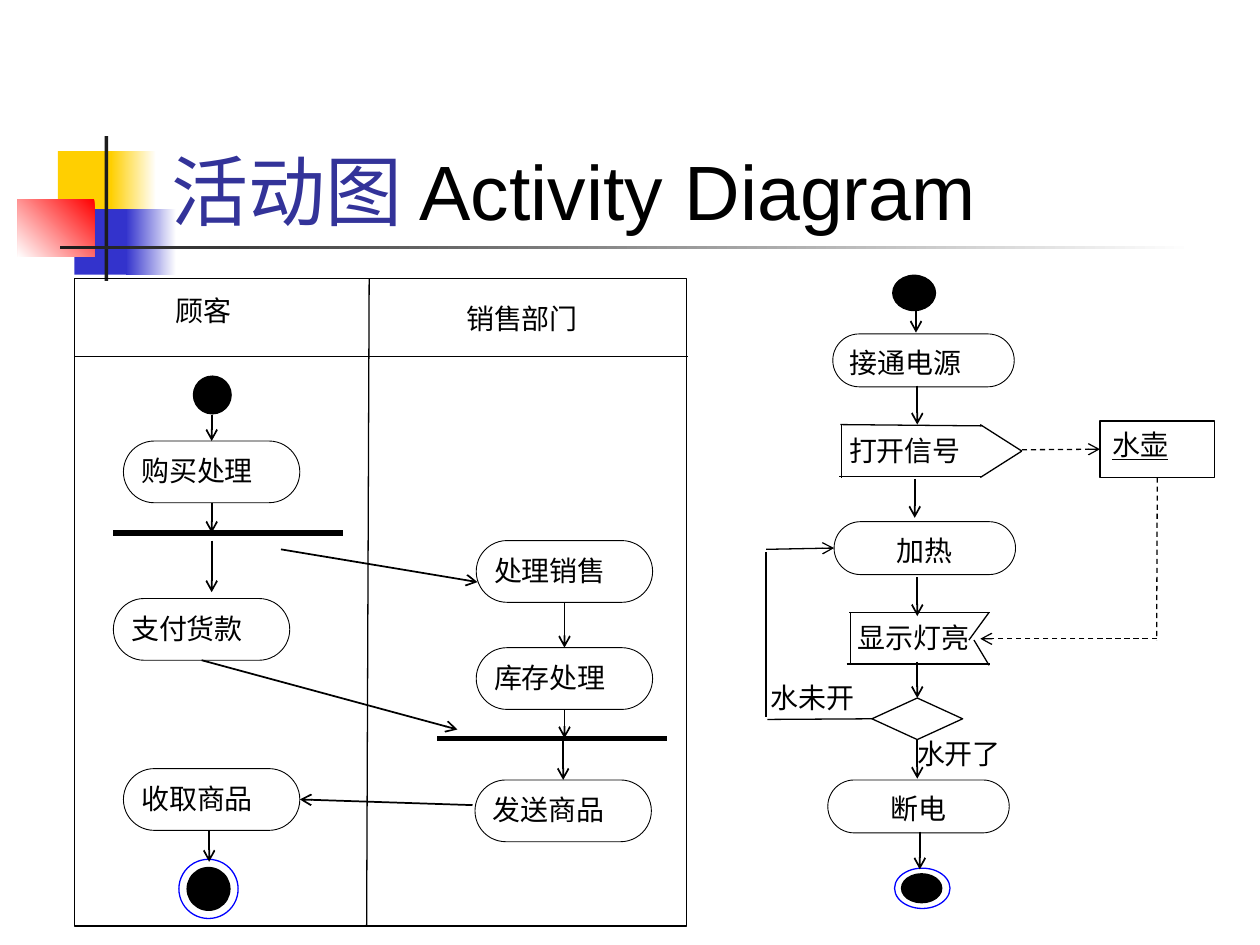
from lxml.etree import SubElement
from pptx import Presentation
from pptx.dml.color import RGBColor
from pptx.enum.dml import MSO_LINE
from pptx.enum.shapes import MSO_CONNECTOR, MSO_SHAPE
from pptx.enum.text import MSO_ANCHOR, PP_ALIGN
from pptx.oxml.ns import qn
from pptx.util import Inches, Pt

COLORS = {"black": "000000", "white": "FFFFFF", "ink": "1C1C1C", "yellow": "FFCF01",
          "blue": "3333CC", "red": "FF0000", "title": "333399", "ring": "0000FF"}
TOP, LEFT, BOTTOM, RIGHT = range(4)

DECORATION = [
    ((0.46, 1.2, 0.48, 0.52), ["yellow"], 0),
    ((0.88, 1.2, 0.36, 0.52), ["white", "yellow"], 180),
    ((0.59, 1.66, 0.46, 0.52), ["blue"], 0),
    ((1, 1.66, 0.4, 0.52), ["white", "blue"], 180),
    ((0.14, 1.58, 0.61, 0.46), ["red", "white"], 225),
    ((0.83, 1.08, 0.03, 1.15), ["ink"], 0),
    ((0.48, 1.95, 9, 0.03), ["white", "ink"], 180),
]
TITLE = [("活动图", "Karla", "title"), (" Activity Diagram", "Arial", "black")]
LANES = [("顾客", (1.32, 2.3, 0.63, 0.33)), ("销售部门", (3.63, 2.36, 1.19, 0.39))]
LANE_FRAME = (0.59, 2.21, 4.86, 5.14)
CAPTIONS = [("水未开", 6.02, 5.35), ("水开了", 7.18, 5.8),
            ("打开信号", 6.64, 3.39), ("显示灯亮", 6.71, 4.88)]
CAPTION_SIZE = (1.17, 0.46)
SALE_SIZE, KETTLE_SIZE = (1.4, 0.49), (1.44, 0.42)
ACTIVITIES = [
    ("购买处理", 0.98, 3.5, SALE_SIZE, PP_ALIGN.JUSTIFY),
    ("处理销售", 3.78, 4.29, SALE_SIZE, PP_ALIGN.JUSTIFY),
    ("支付货款", 0.9, 4.75, SALE_SIZE, PP_ALIGN.JUSTIFY),
    ("库存处理", 3.78, 5.14, SALE_SIZE, PP_ALIGN.JUSTIFY),
    ("发送商品", 3.77, 6.19, SALE_SIZE, PP_ALIGN.JUSTIFY),
    ("收取商品", 0.98, 6.1, SALE_SIZE, PP_ALIGN.JUSTIFY),
    ("接通电源", 6.61, 2.65, KETTLE_SIZE, PP_ALIGN.JUSTIFY),
    ("加热", 6.62, 4.14, KETTLE_SIZE, PP_ALIGN.CENTER),
    ("断电", 6.57, 6.19, KETTLE_SIZE, PP_ALIGN.CENTER),
]
DOTS = [(1.53, 2.98, 0.31, 0.31), (1.48, 6.88, 0.35, 0.35),
        (7.08, 2.18, 0.35, 0.29), (7.15, 6.93, 0.33, 0.24)]
RINGS = [(1.42, 6.82, 0.47, 0.47), (7.1, 6.89, 0.44, 0.32)]
KETTLE, DECISION = "水壶", "decision"

BARS = [((0.9, 4.23), (2.72, 4.23)), ((3.47, 5.86), (5.29, 5.86))]
LANE_LINES = [((2.93, 2.21), (2.91, 7.34)), ((0.59, 2.83), (5.46, 2.83))]
SIGNAL_LINES = [
    ((6.67, 3.37), (7.79, 3.38)), ((6.66, 3.78), (7.79, 3.78)),
    ((6.68, 3.37), (6.68, 3.79)), ((7.78, 3.37), (8.11, 3.58)),
    ((7.78, 3.79), (8.11, 3.58)),
    ((6.74, 4.86), (7.86, 4.86)), ((6.72, 5.27), (7.86, 5.27)),
    ((6.75, 4.86), (6.75, 5.28)), ((7.85, 4.86), (7.69, 5.08)),
    ((7.85, 5.28), (7.73, 5.08)),
]
FLOWS = [
    ((2.23, 4.36), (3.79, 4.62)),
    ((1.68, 3.29), ("购买处理", TOP)),
    (("购买处理", BOTTOM), (1.68, 4.23)),
    ((1.68, 4.29), (1.68, 4.7)),
    (("处理销售", BOTTOM), ("库存处理", TOP)),
    (("库存处理", BOTTOM), (4.48, 5.86)),
    (("支付货款", BOTTOM), (3.63, 5.79)),
    ((4.47, 5.86), ("发送商品", TOP)),
    ((3.75, 6.39), ("收取商品", RIGHT)),
    ((1.66, 6.59), (1.66, 6.84)),
    ((7.27, 2.46), (7.27, 2.64)),
    ((7.28, 3.06), (7.28, 3.37)),
    ((7.26, 3.8), (7.26, 4.11)),
    ((7.28, 4.58), (7.28, 4.89)),
    ((7.28, 5.25), (DECISION, TOP)),
    ((DECISION, BOTTOM), (7.28, 6.18)),
    ((7.3, 6.6), (7.3, 6.9)),
]
LOOP_LINES = [((DECISION, LEFT), (6.09, 5.71)), ((6.08, 5.69), (6.08, 4.38))]
LOOP_RETURN = ((6.08, 4.36), ("加热", LEFT))
OBJECT_FLOWS = [((8.11, 3.57), (KETTLE, LEFT), True),
                ((KETTLE, BOTTOM), (9.18, 5.08), False),
                ((9.18, 5.07), (7.78, 5.07), True)]

deck = Presentation()
deck.slide_width, deck.slide_height = Inches(10), Inches(7.5)
page = deck.slides.add_slide(deck.slide_layouts[6])
nodes = {}


def color(name):
    return RGBColor.from_string(COLORS[name])


def add_shape(kind, place, fill=None, line=None, width=0.75):
    shape = page.shapes.add_shape(kind, *map(Inches, place))
    shape.shadow.inherit = False
    if fill:
        shape.fill.solid()
        shape.fill.fore_color.rgb = color(fill)
    else:
        shape.fill.background()
    if line:
        shape.line.color.rgb = color(line)
        shape.line.width = Pt(width)
    else:
        shape.line.fill.background()
    return shape


def write(box, spans, size=16, inset=(0.1, 0.05), align=PP_ALIGN.JUSTIFY,
          anchor=MSO_ANCHOR.TOP, underline=None):
    frame = box.text_frame
    frame.word_wrap = True
    frame.vertical_anchor = anchor
    frame.margin_left = frame.margin_right = Inches(inset[0])
    frame.margin_top = frame.margin_bottom = Inches(inset[1])
    para = frame.paragraphs[0]
    para.alignment = align
    for text, font, tint in spans:
        span = para.add_run()
        span.text = text
        span.font.name = font
        span.font.size = Pt(size)
        span.font.underline = underline
        span.font.color.rgb = color(tint)


def add_line(start, end, width=0.75, arrow=False, dashed=False):
    def point(spot):
        return (0, 0) if spot[0] in nodes else tuple(map(Inches, spot))

    line = page.shapes.add_connector(MSO_CONNECTOR.STRAIGHT, *point(start), *point(end))
    for spot, join in ((start, line.begin_connect), (end, line.end_connect)):
        if spot[0] in nodes:
            join(nodes[spot[0]], spot[1])
    line.line.color.rgb = color("black")
    line.line.width = Pt(width)
    if dashed:
        line.line.dash_style = MSO_LINE.DASH
    properties = line._element.spPr
    if arrow:
        SubElement(properties.find(qn("a:ln")), qn("a:tailEnd"), type="arrow")
    SubElement(properties, qn("a:effectLst"))


for place, tints, angle in DECORATION:
    block = add_shape(MSO_SHAPE.RECTANGLE, place, tints[0])
    if len(tints) == 2:
        block.fill.gradient()
        block.fill.gradient_angle = angle
        for stop, tint in zip(block.fill.gradient_stops, tints):
            stop.color.rgb = color(tint)

title = page.shapes.add_textbox(*map(Inches, (1.26, 0.67, 8.52, 1.25)))
write(title, TITLE, size=44, align=PP_ALIGN.LEFT, anchor=MSO_ANCHOR.BOTTOM)

add_shape(MSO_SHAPE.RECTANGLE, LANE_FRAME, line="black")
for text, place in LANES:
    label = page.shapes.add_textbox(*map(Inches, place))
    write(label, [(text, "Noto Sans CJK SC", "black")], inset=(0.07, 0.03))

for text, left, top in CAPTIONS:
    caption = add_shape(MSO_SHAPE.RECTANGLE, (left, top, *CAPTION_SIZE), "white")
    write(caption, [(text, "Times New Roman", "black")])

for text, left, top, size, align in ACTIVITIES:
    activity = add_shape(MSO_SHAPE.ROUNDED_RECTANGLE, (left, top, *size),
                         line="black", width=0.5)
    activity.adjustments[0] = 0.5
    write(activity, [(text, "Arial", "black")], inset=(0.07, 0.03), align=align)
    nodes[text] = activity

nodes[KETTLE] = add_shape(MSO_SHAPE.RECTANGLE, (8.73, 3.34, 0.91, 0.45), "white", "black")
write(nodes[KETTLE], [(KETTLE, "Times New Roman", "black")], underline=True)
nodes[DECISION] = add_shape(MSO_SHAPE.DIAMOND, (6.92, 5.54, 0.72, 0.33), "white", "black")

for place in DOTS:
    add_shape(MSO_SHAPE.OVAL, place, "black")
for place in RINGS:
    add_shape(MSO_SHAPE.OVAL, place, line="ring")

for start, end in BARS:
    add_line(start, end, width=3)
for start, end in LANE_LINES + SIGNAL_LINES + LOOP_LINES:
    add_line(start, end)
for start, end in FLOWS:
    add_line(start, end, width=1, arrow=True)
add_line(*LOOP_RETURN, arrow=True)
for start, end, arrow in OBJECT_FLOWS:
    add_line(start, end, arrow=arrow, dashed=True)

deck.save("out.pptx")
